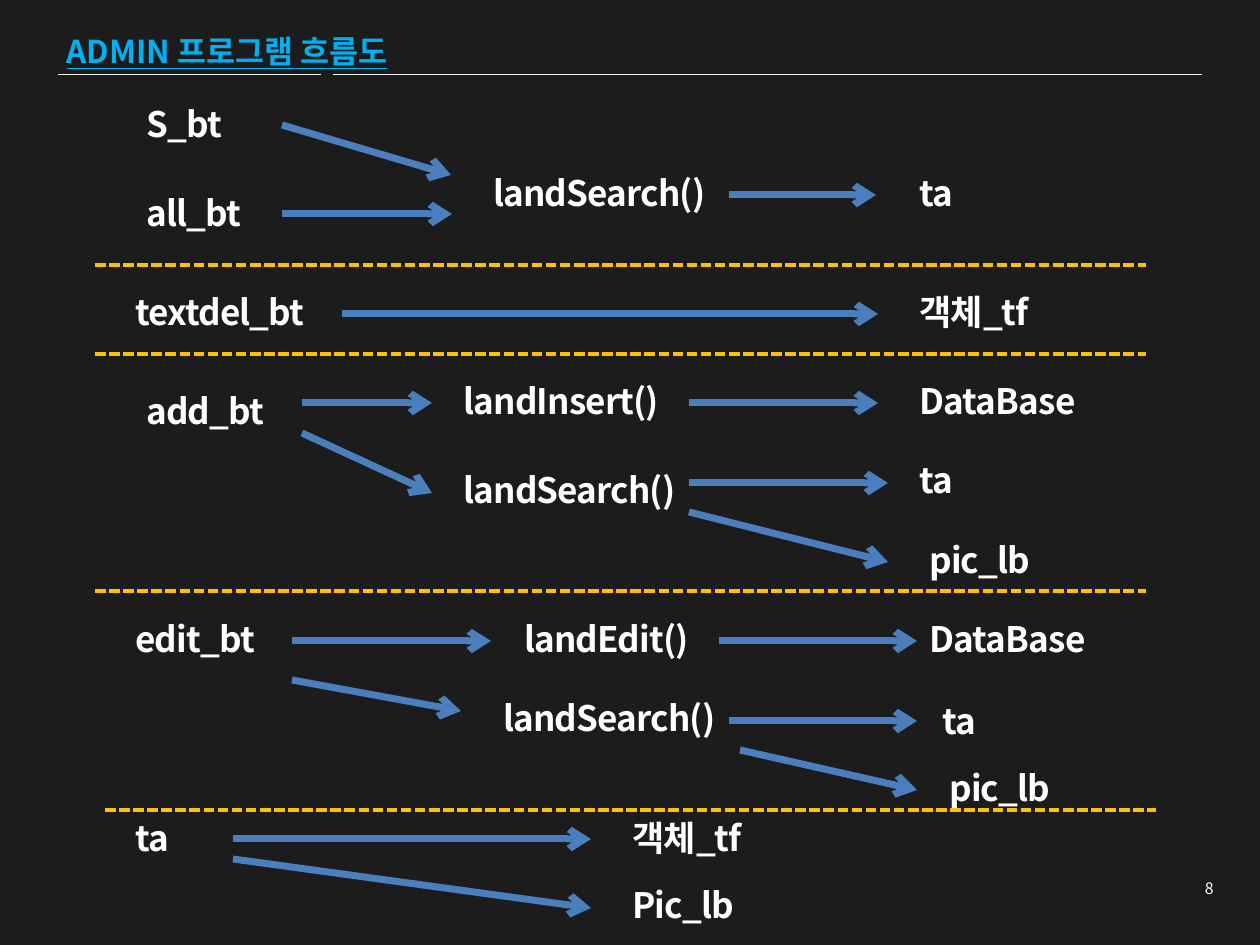
from lxml import etree
from pptx import Presentation
from pptx.dml.color import RGBColor
from pptx.enum.dml import MSO_LINE
from pptx.enum.shapes import MSO_CONNECTOR
from pptx.enum.text import MSO_ANCHOR, PP_ALIGN
from pptx.oxml.ns import qn
from pptx.util import Emu, Pt

STRAIGHT = MSO_CONNECTOR.STRAIGHT
DASHED = MSO_LINE.SQUARE_DOT
TOP = MSO_ANCHOR.TOP
LEFT, RIGHT = PP_ALIGN.LEFT, PP_ALIGN.RIGHT

FONT = "Noto Sans CJK KR"
BACKGROUND = RGBColor(0x1C, 0x1C, 0x1C)
WHITE = RGBColor(0xFF, 0xFF, 0xFF)
PALE = RGBColor(0xF2, 0xF2, 0xF2)
CYAN = RGBColor(0x00, 0xB0, 0xF0)
BLUE = RGBColor(0x4B, 0x7E, 0xBC)
AMBER = RGBColor(0xFF, 0xC0, 0x00)

SCALE = 914400 / 126
LABEL_HEIGHT = 59

TITLE = "ADMIN 프로그램 흐름도"
PAGE_NUMBER = "8"

# Each flow: labels as (text, left, top, width), arrows as (x1, y1, x2, y2)
FLOWS = [
    {"labels": [("S_bt", 134, 96, 180), ("all_bt", 134, 185, 180),
                ("landSearch()", 481, 165, 248), ("ta", 907, 165, 129)],
     "arrows": [(282, 125, 451, 175), (282, 214, 452, 214), (729, 195, 876, 195)]},
    {"labels": [("textdel_bt", 123, 284, 218), ("객체_tf", 907, 284, 198)],
     "arrows": [(342, 314, 878, 314)]},
    {"labels": [("add_bt", 134, 383, 159), ("landInsert()", 451, 373, 248),
                ("DataBase", 907, 373, 208), ("landSearch()", 451, 462, 248),
                ("ta", 907, 452, 129), ("pic_lb", 917, 532, 129)],
     "arrows": [(302, 403, 432, 403), (689, 403, 878, 403), (302, 433, 432, 493),
                (689, 483, 888, 483), (689, 512, 888, 562)]},
    {"labels": [("edit_bt", 123, 611, 180), ("landEdit()", 512, 611, 208),
                ("DataBase", 917, 611, 208), ("landSearch()", 491, 690, 248),
                ("ta", 930, 693, 129), ("pic_lb", 937, 760, 129)],
     "arrows": [(292, 641, 491, 641), (719, 641, 917, 641), (292, 680, 461, 711),
                (729, 721, 917, 721), (740, 750, 917, 790)]},
    {"labels": [("ta", 123, 810, 129), ("객체_tf", 620, 810, 208),
                ("Pic_lb", 620, 877, 208)],
     "arrows": [(233, 839, 591, 839), (233, 859, 591, 908)]},
]
DIVIDERS = [(95, 265), (95, 354), (95, 591), (105, 810)]  # left, y
DIVIDER_WIDTH = 1051
HEADER_RULES = [(58, 321), (333, 1202)]  # left, right
HEADER_Y = 74


def px(length):
    return Emu(round(length * SCALE))


def write(shape, text, size, color, bold=True, underline=None, align=LEFT, spacing=0):
    frame = shape.text_frame
    frame.vertical_anchor = TOP
    para = frame.paragraphs[0]
    para.text = text
    para.alignment = align
    font = para.font
    font.size, font.bold, font.underline = Pt(size), bold, underline
    font.color.rgb = color
    font.name = FONT
    properties = para._p.pPr.find(qn("a:defRPr"))
    etree.SubElement(properties, qn("a:ea")).set("typeface", FONT)
    if spacing:
        for run in para.runs:
            run._r.get_or_add_rPr().set("spc", str(spacing))


def add_box(slide, left, top, width, height, wrap=True):
    box = slide.shapes.add_textbox(px(left), px(top), px(width), px(height))
    box.text_frame.word_wrap = wrap
    return box


def add_line(slide, ends, color, width, dash=None, arrow=False):
    connector = slide.shapes.add_connector(STRAIGHT, *map(px, ends))
    line = connector.line
    line.color.rgb = color
    line.width = Pt(width)
    if dash:
        line.dash_style = dash
    properties = connector._element.spPr
    if arrow:
        tail = etree.SubElement(properties.find(qn("a:ln")), qn("a:tailEnd"))
        tail.set("type", "arrow")
    etree.SubElement(properties, qn("a:effectLst"))


def main():
    deck = Presentation()
    deck.slide_width, deck.slide_height = px(1260), px(945)
    slide = deck.slides.add_slide(deck.slide_layouts[5])
    slide.background.fill.solid()
    slide.background.fill.fore_color.rgb = BACKGROUND

    title = slide.shapes.title
    title.left, title.top, title.width, title.height = map(px, (54, 26, 546, 50))
    write(title, TITLE, 18, CYAN, underline=True)
    for left, right in HEADER_RULES:
        add_line(slide, (left, HEADER_Y, right, HEADER_Y), PALE, 0.25)

    for flow in FLOWS:
        for text, left, top, width in flow["labels"]:
            box = add_box(slide, left, top, width, LABEL_HEIGHT)
            write(box, text, 20, WHITE, spacing=-50)
        for ends in flow["arrows"]:
            add_line(slide, ends, BLUE, 4, arrow=True)

    for left, y in DIVIDERS:
        add_line(slide, (left, y, left + DIVIDER_WIDTH, y), AMBER, 2, dash=DASHED)

    number = add_box(slide, 1191, 873, 35, 32, wrap=False)
    write(number, PAGE_NUMBER, 9, WHITE, bold=False, align=RIGHT)
    deck.save("out.pptx")


if __name__ == "__main__":
    main()
